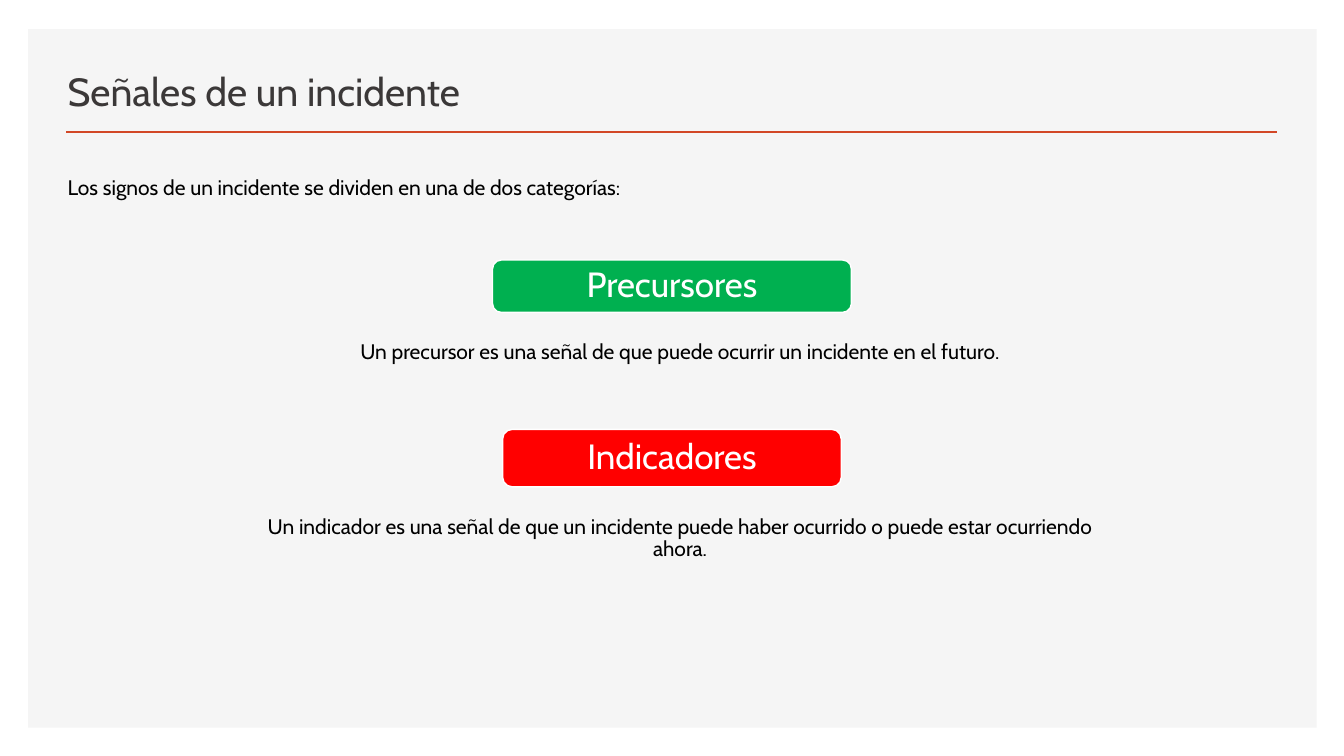
import dataclasses

import pptx
import pptx.dml.color
import pptx.enum.shapes
import pptx.enum.text
import pptx.oxml
import pptx.util

Pt = pptx.util.Pt
Inches = pptx.util.Inches
ALIGN = pptx.enum.text.PP_ALIGN
ANCHOR = pptx.enum.text.MSO_ANCHOR
SHAPE = pptx.enum.shapes.MSO_SHAPE


@dataclasses.dataclass(frozen=True)
class Theme:
    font: str = "Cabin"
    panel: str = "F5F5F5"
    accent: str = "D24726"
    title: str = "3B3838"
    ink: str = "000000"
    light: str = "FFFFFF"
    green: str = "00B050"
    red: str = "FF0000"
    head: int = 28
    label: int = 25
    text: int = 15


def color(code):
    return pptx.dml.color.RGBColor.from_string(code)


def assign(target, values):
    for name, value in values.items():
        setattr(target, name, value)


def element(tag):
    """Make an empty DrawingML element."""
    return pptx.oxml.parse_xml(
        f'<a:{tag} xmlns:a="http://schemas.openxmlformats.org/drawingml/2006/main"/>')


class Board:
    """Draws on one slide; lengths are percentages of its width and height."""

    def __init__(self, deck, theme):
        self.deck, self.theme = deck, theme
        self.slide = deck.slides.add_slide(deck.slide_layouts[1])
        self.shapes = self.slide.shapes

    def scale(self, x, y):
        return (round(self.deck.slide_width * x / 100),
                round(self.deck.slide_height * y / 100))

    def box(self, left, top, width, height):
        return self.scale(left, top) + self.scale(width, height)

    def place(self, shape, area):
        assign(shape, dict(zip(("left", "top", "width", "height"), self.box(*area))))

    def letter(self, shape, text, size, ink, frame, para):
        """Put formatted text into a shape."""
        body = shape.text_frame
        body.text = text
        assign(body, {"word_wrap": True,
                      "auto_size": pptx.enum.text.MSO_AUTO_SIZE.NONE, **frame})
        line = body.paragraphs[0]
        assign(line, {"space_before": Pt(0), **para})
        assign(line.runs[0].font, {"name": self.theme.font, "size": Pt(size)})
        line.runs[0].font.color.rgb = color(ink)

    def block(self, kind, area, fill):
        shape = self.shapes.add_shape(kind, *self.box(*area))
        shape.shadow.inherit = False
        shape.fill.solid()
        shape.fill.fore_color.rgb = color(fill)
        return shape

    def panel(self, area):
        """Fill an area behind the placeholders."""
        shape = self.block(SHAPE.RECTANGLE, area, self.theme.panel)
        shape.line.fill.background()
        shape.element.getparent().insert(2, shape.element)

    def rule(self, left, right, y):
        line = self.shapes.add_connector(
            pptx.enum.shapes.MSO_CONNECTOR.STRAIGHT,
            *self.scale(left, y), *self.scale(right, y))
        line.line.color.rgb = color(self.theme.accent)
        line.line.width = Pt(2)
        line.element.spPr.append(element("effectLst"))

    def title(self, text, area):
        shape = self.shapes.title
        self.place(shape, area)
        self.letter(shape, text, self.theme.head, self.theme.title,
                    {"vertical_anchor": ANCHOR.BOTTOM}, {"alignment": ALIGN.LEFT})

    def intro(self, text, area):
        shape = self.slide.placeholders[1]
        self.place(shape, area)
        self.letter(shape, text, self.theme.text, self.theme.ink,
                    {"vertical_anchor": ANCHOR.TOP},
                    {"alignment": ALIGN.JUSTIFY, "line_spacing": 1.5,
                     "space_after": Pt(8)})
        props = shape.text_frame.paragraphs[0]._p.get_or_add_pPr()
        props.set("marL", "0")
        props.set("indent", "0")
        props.append(element("buNone"))

    def chip(self, text, area, fill):
        shape = self.block(SHAPE.ROUNDED_RECTANGLE, area, fill)
        shape.line.color.rgb = color(self.theme.light)
        shape.line.width = Pt(1)
        sides = ("left", "right", "top", "bottom")
        frame = {f"margin_{side}": Inches(0.1) for side in sides}
        self.letter(shape, text, self.theme.label, self.theme.light,
                    {"vertical_anchor": ANCHOR.MIDDLE, **frame},
                    {"alignment": ALIGN.CENTER, "line_spacing": 0.9})

    def note(self, text, area):
        shape = self.shapes.add_textbox(*self.box(*area))
        self.letter(shape, text, self.theme.text, self.theme.ink,
                    {"margin_left": Inches(0.28), "margin_right": Inches(0.12),
                     "margin_top": Inches(0.02), "margin_bottom": Inches(0.02)},
                    {"alignment": ALIGN.CENTER, "line_spacing": 0.9})

    def sign(self, label, text, fill, top, width, height):
        """Centre a coloured label with its meaning below it."""
        self.chip(label, (50 - width / 2, top, width, height), fill)
        self.note(text, (16.65, top + height + 3.6, 66.7, 11.87))


def main():
    deck = pptx.Presentation()
    assign(deck, {"slide_width": Inches(13.33), "slide_height": Inches(7.5)})
    theme = Theme()
    board = Board(deck, theme)
    board.panel((2.1, 3.87, 95.87, 92.4))
    board.rule(4.95, 95.05, 17.47)
    board.title("Señales de un incidente", (4.28, 6.53, 61.2, 9.33))
    board.intro("Los signos de un incidente se dividen en una de dos categorías:",
                (4.28, 20.8, 90.77, 5.73))
    board.sign("Precursores",
               "Un precursor es una señal de que puede ocurrir un incidente en el futuro.",
               theme.green, 34.4, 26.7, 6.93)
    board.sign("Indicadores",
               "Un indicador es una señal de que un incidente puede haber ocurrido "
               "o puede estar ocurriendo ahora.",
               theme.red, 56.8, 25.2, 7.6)
    deck.save("out.pptx")


if __name__ == "__main__":
    main()
